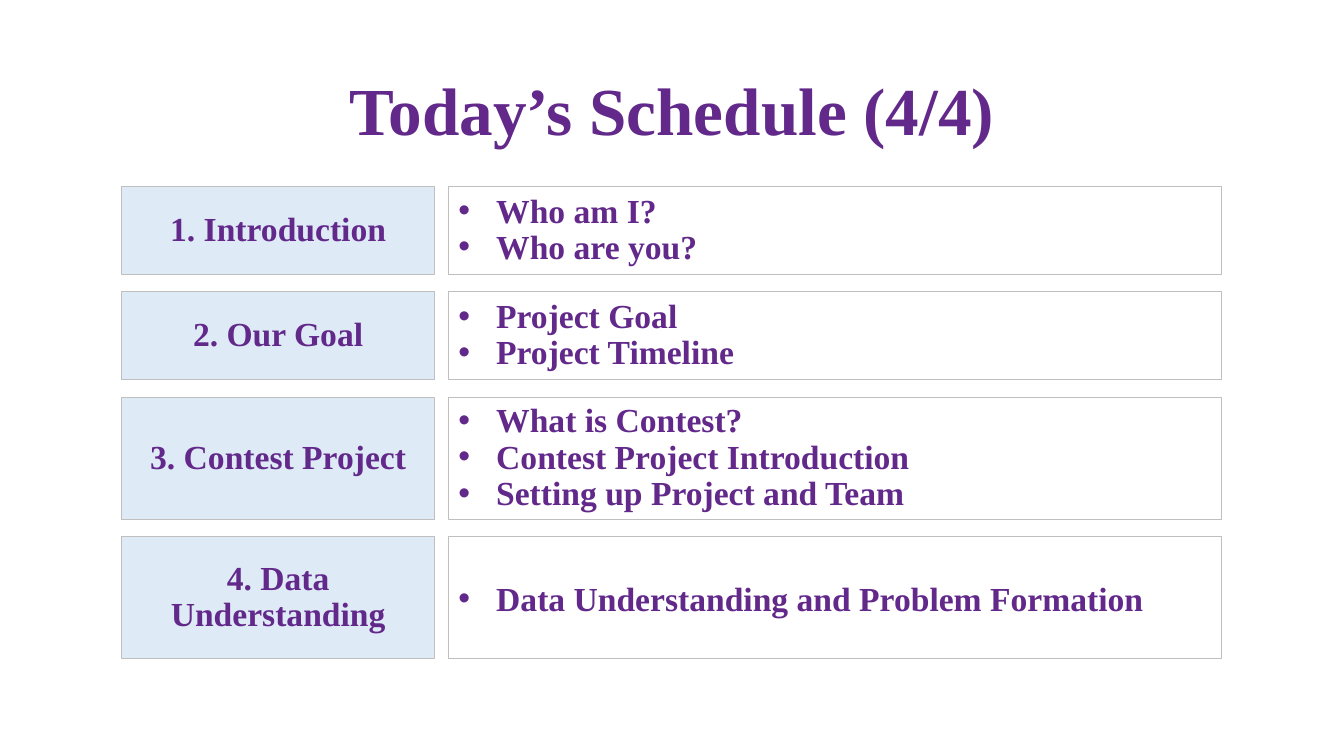
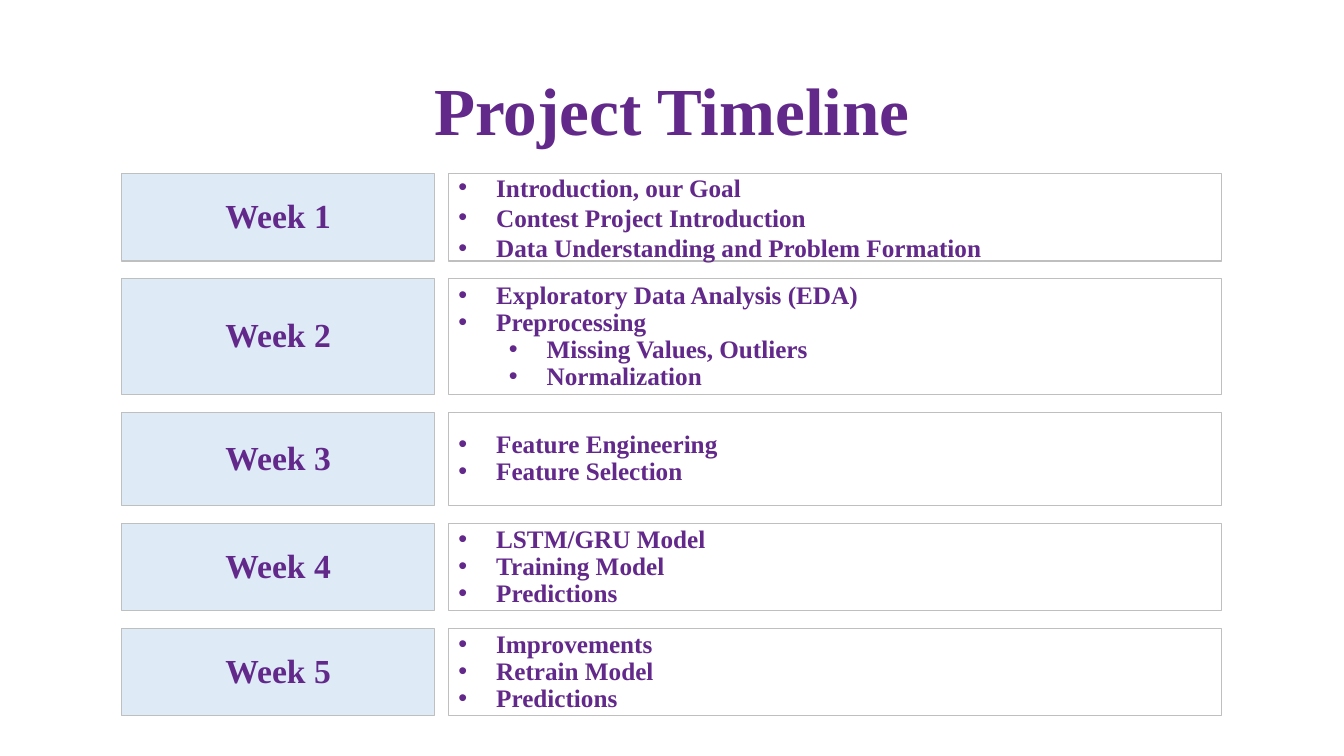
"""Build the schedule and timeline slides of a data project course."""
from dataclasses import dataclass

from lxml import etree
from pptx import Presentation
from pptx import util as u
from pptx.dml.color import RGBColor
from pptx.enum import shapes, text
from pptx.oxml import ns

PURPLE = RGBColor(0x62, 0x29, 0x8B)
PALE_BLUE = RGBColor(0xDE, 0xEB, 0xF7)
GREY = RGBColor(0xBF, 0xBF, 0xBF)
FONT = "Times New Roman"

EMU_PER_PX = 4572
SLIDE_WIDTH, SLIDE_HEIGHT = 2667, 1500
TITLE_BOX = (184, 80, 2300, 290)
LABEL_LEFT, LABEL_WIDTH = 242, 620
DETAIL_LEFT, DETAIL_WIDTH = 890, 1534
ROW_GAP = 35
BULLET_INDENT, LEVEL_STEP = 75, 100
TITLE_SIZE, LABEL_SIZE = 48, 24
TIGHT, SINGLE = 0.9, 1.0


@dataclass(frozen=True)
class Item:
    """One bullet and its outline level."""
    words: str
    level: int = 0


@dataclass(frozen=True)
class Row:
    """A labelled row with its bullets."""
    label: str
    height: int
    items: tuple[Item, ...]
    spacing: float = TIGHT


@dataclass(frozen=True)
class Agenda:
    """A titled slide of stacked rows."""
    title: str
    top: int
    item_size: int
    rows: tuple[Row, ...]


AGENDAS = (
    Agenda("Today’s Schedule (4/4)", 370, 24, (
        Row("1. Introduction", 174, (Item("Who am I?"), Item("Who are you?"))),
        Row("2. Our Goal", 174, (Item("Project Goal"), Item("Project Timeline"))),
        Row("3. Contest Project", 242, (
            Item("What is Contest?"),
            Item("Contest Project Introduction"),
            Item("Setting up Project and Team"))),
        Row("4. Data Understanding", 242, (
            Item("Data Understanding and Problem Formation"),), SINGLE),
    )),
    Agenda("Project Timeline", 344, 18, (
        Row("Week 1", 174, (
            Item("Introduction, our Goal"),
            Item("Contest Project Introduction"),
            Item("Data Understanding and Problem Formation")), SINGLE),
        Row("Week 2", 230, (
            Item("Exploratory Data Analysis (EDA)"),
            Item("Preprocessing"),
            Item("Missing Values, Outliers", 1),
            Item("Normalization", 1))),
        Row("Week 3", 186, (Item("Feature Engineering"), Item("Feature Selection"))),
        Row("Week 4", 173, (
            Item("LSTM/GRU Model"), Item("Training Model"), Item("Predictions"))),
        Row("Week 5", 173, (
            Item("Improvements"), Item("Retrain Model"), Item("Predictions"))),
    )),
)


def px(length: int) -> u.Emu:
    """Turn pixels into EMU."""
    return u.Emu(length * EMU_PER_PX)


def write(paragraph, words: str, size: int, spacing: float, alignment) -> None:
    """Add one styled run to a paragraph."""
    paragraph.alignment = alignment
    paragraph.line_spacing = spacing
    run = paragraph.add_run()
    run.text = words
    run.font.name = FONT
    run.font.size = u.Pt(size)
    run.font.bold = True
    run.font.color.rgb = PURPLE


def add_bullet(paragraph, level: int) -> None:
    """Give a paragraph a hanging round bullet."""
    paragraph.level = level
    properties = paragraph._p.get_or_add_pPr()
    properties.set("marL", str(px(BULLET_INDENT + level * LEVEL_STEP)))
    properties.set("indent", str(-px(BULLET_INDENT)))
    etree.SubElement(properties, ns.qn("a:buFont"), typeface="Arial")
    etree.SubElement(properties, ns.qn("a:buChar"), char="•")


def add_box(slide, left: int, top: int, width: int, height: int,
            fill: RGBColor | None = None):
    """Draw a grey outlined rectangle and return its text frame."""
    shape = slide.shapes.add_shape(
        shapes.MSO_SHAPE.RECTANGLE, px(left), px(top), px(width), px(height))
    shape.shadow.inherit = False
    if fill is None:
        shape.fill.background()
    else:
        shape.fill.solid()
        shape.fill.fore_color.rgb = fill
    shape.line.color.rgb = GREY
    shape.line.width = u.Pt(0.75)
    frame = shape.text_frame
    frame.word_wrap = True
    frame.vertical_anchor = text.MSO_ANCHOR.MIDDLE
    return frame


def add_title(slide, words: str) -> None:
    """Place and fill the title placeholder."""
    title = slide.shapes.title
    title.left, title.top, title.width, title.height = map(px, TITLE_BOX)
    frame = title.text_frame
    frame.auto_size = text.MSO_AUTO_SIZE.NONE
    frame.vertical_anchor = text.MSO_ANCHOR.MIDDLE
    write(frame.paragraphs[0], words, TITLE_SIZE, TIGHT, text.PP_ALIGN.CENTER)


def add_row(slide, row: Row, top: int, item_size: int) -> None:
    """Draw a row's label box and bullet box."""
    label = add_box(slide, LABEL_LEFT, top, LABEL_WIDTH, row.height, PALE_BLUE)
    write(label.paragraphs[0], row.label, LABEL_SIZE, TIGHT, text.PP_ALIGN.CENTER)
    detail = add_box(slide, DETAIL_LEFT, top, DETAIL_WIDTH, row.height)
    for index, item in enumerate(row.items):
        paragraph = detail.add_paragraph() if index else detail.paragraphs[0]
        add_bullet(paragraph, item.level)
        write(paragraph, item.words, item_size, row.spacing, text.PP_ALIGN.LEFT)


def add_agenda(presentation, agenda: Agenda) -> None:
    """Add one slide with its title and stacked rows."""
    slide = presentation.slides.add_slide(
        presentation.slide_layouts.get_by_name("Title Only"))
    add_title(slide, agenda.title)
    top = agenda.top
    for row in agenda.rows:
        add_row(slide, row, top, agenda.item_size)
        top += row.height + ROW_GAP


def main() -> None:
    """Build and save the presentation."""
    presentation = Presentation()
    presentation.slide_width = px(SLIDE_WIDTH)
    presentation.slide_height = px(SLIDE_HEIGHT)
    for agenda in AGENDAS:
        add_agenda(presentation, agenda)
    presentation.save("out.pptx")


if __name__ == "__main__":
    main()
